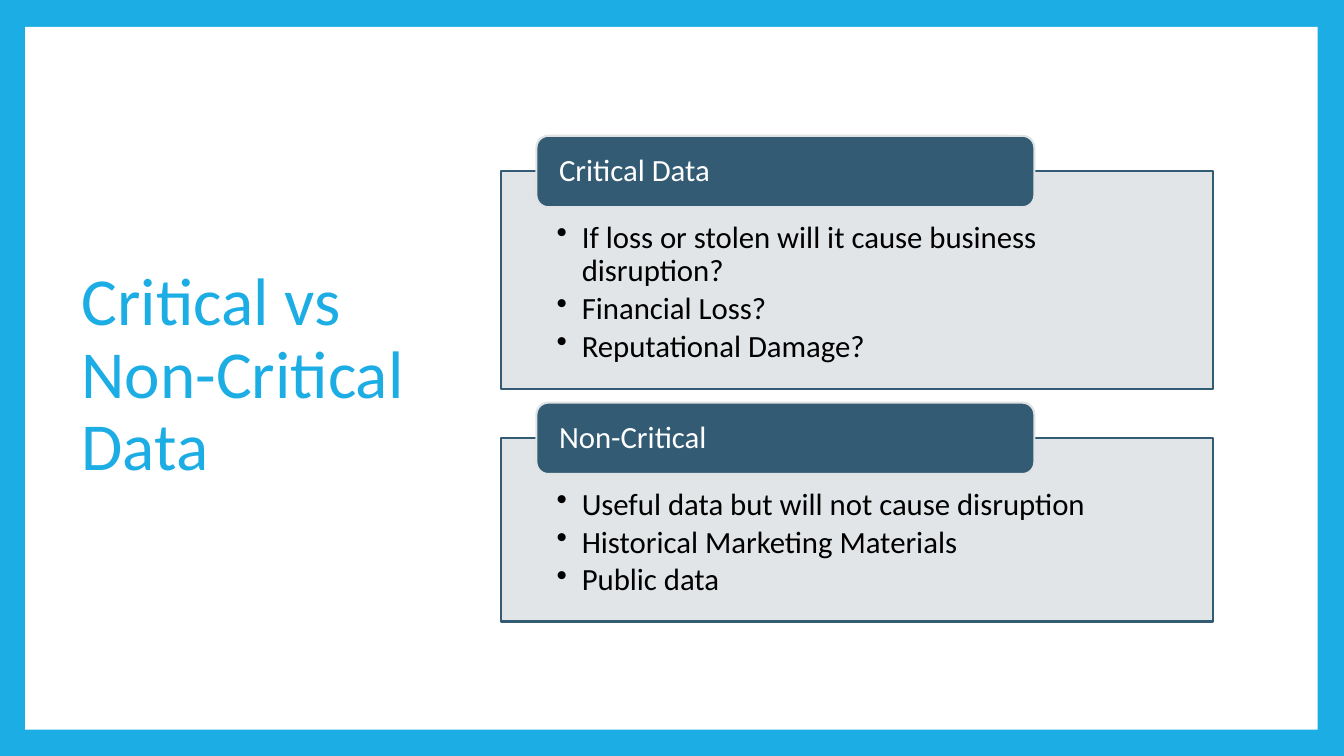
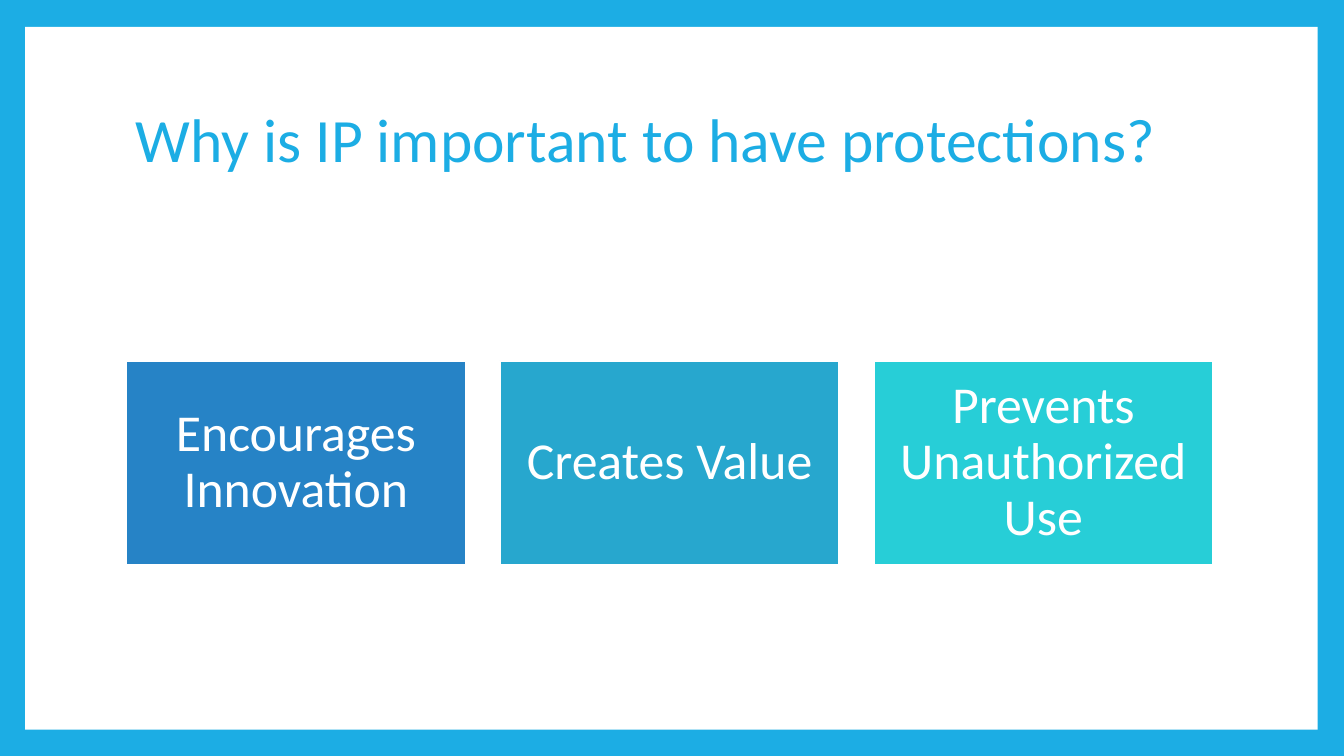
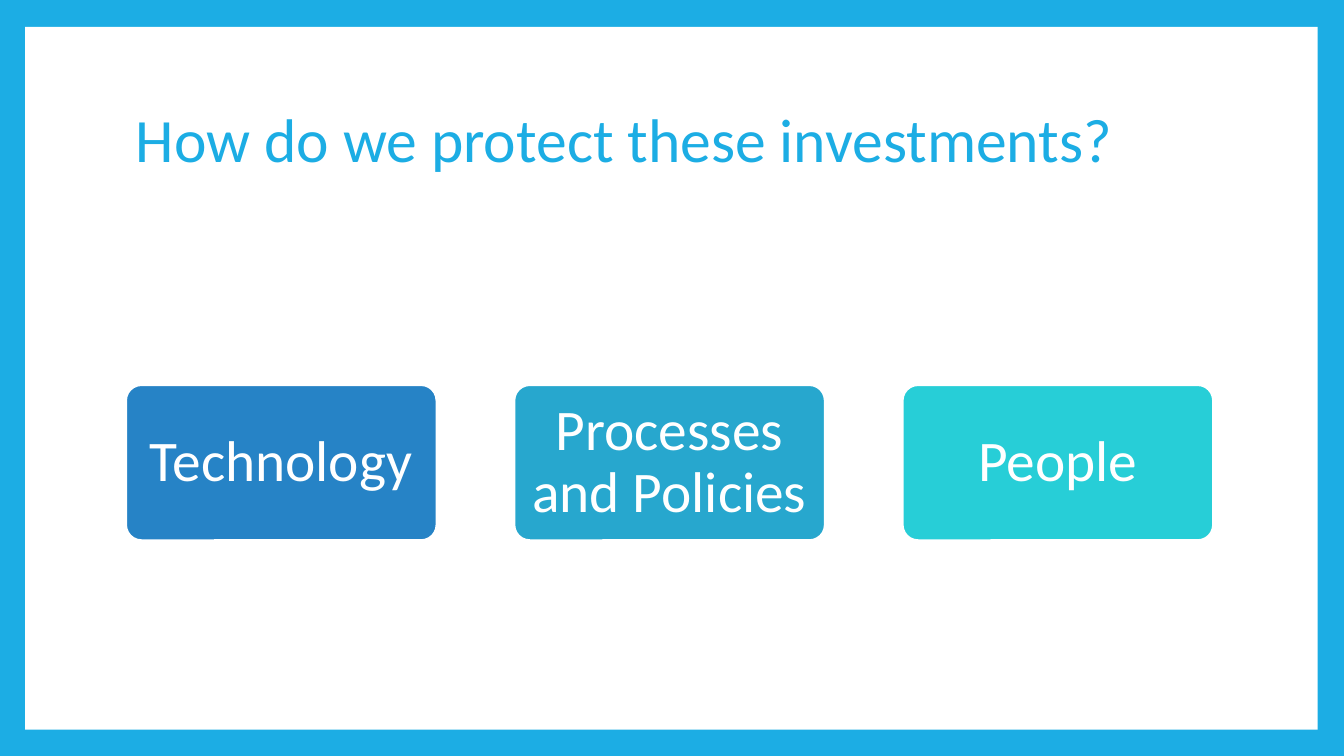
from dataclasses import dataclass

from lxml import etree
from pptx import Presentation
from pptx.dml.color import RGBColor
from pptx.enum.shapes import MSO_SHAPE
from pptx.enum.text import MSO_ANCHOR, PP_ALIGN
from pptx.oxml.ns import qn
from pptx.shapes.autoshape import Shape
from pptx.slide import Slide
from pptx.util import Pt

RECT, ROUND = MSO_SHAPE.RECTANGLE, MSO_SHAPE.ROUNDED_RECTANGLE
TOP, MIDDLE = MSO_ANCHOR.TOP, MSO_ANCHOR.MIDDLE
LEFT, CENTER = PP_ALIGN.LEFT, PP_ALIGN.CENTER

FONT = "Calibri"
SKY, WHITE, BLACK = "1CADE4", "FFFFFF", "000000"
NAVY, GREY = "335B74", "DFE3E5"
TINTS = ("2683C6", "27A7CE", "27CED7")
SPAN_LEFT, SPAN, CARD_MID = 90, 776.6, 330.5


@dataclass
class Box:
    left: float
    top: float
    width: float
    height: float

    def place(self) -> tuple:
        return Pt(self.left), Pt(self.top), Pt(self.width), Pt(self.height)


@dataclass
class Style:
    size: float
    color: str
    inset: tuple = (7.2, 3.6, 7.2, 3.6)
    anchor: int = MIDDLE
    align: int = LEFT
    after: float = 0
    bullet: bool = False


@dataclass
class Group:
    head: str
    items: tuple
    top: float
    height: float


@dataclass
class Deck:
    title: str
    cards: tuple
    kind: int
    gap: float    # share of the card width
    ratio: float  # height to width
    size: float
    inset: tuple


WIDE = Box(90, 48.24, 777.6, 106.56)
SIDE = Box(51.12, 48.24, 264.96, 441.36)

GROUPS = (
    Group("Critical Data",
          ("If loss or stolen will it cause business disruption?",
           "Financial Loss?", "Reputational Damage?"), 122.4, 155.5),
    Group("Non-Critical",
          ("Useful data but will not cause disruption",
           "Historical Marketing Materials", "Public data"), 313, 131),
)

DECKS = (
    Deck("Why is IP important to have protections?",
         ("Encourages Innovation", "Creates Value",
          "Prevents Unauthorized Use"),
         RECT, 0.1, 0.6, 37, (10.8, 10.8, 10.8, 10.8)),
    Deck("How do we protect these investments?",
         ("Technology", "Processes and Policies", "People"),
         ROUND, 0.25, 0.5, 41, (6.5, 4.3, 6.5, 4.3)),
)


def rgb(color: str) -> RGBColor:
    return RGBColor.from_string(color)


def write(shape: Shape, text: str, style: Style) -> None:
    frame = shape.text_frame
    frame.word_wrap = True
    frame.vertical_anchor = style.anchor
    (frame.margin_left, frame.margin_top,
     frame.margin_right, frame.margin_bottom) = map(Pt, style.inset)
    frame.text = text
    for para in frame.paragraphs:
        para.alignment = style.align
        para.line_spacing = 0.9
        para.space_after = Pt(style.after)
        if style.bullet:
            props = para._p.get_or_add_pPr()
            props.set("marL", str(Pt(18)))
            props.set("indent", str(Pt(-18)))
            etree.SubElement(props, qn("a:buChar")).set("char", "•")
        for run in para.runs:
            run.font.name = FONT
            run.font.size = Pt(style.size)
            run.font.color.rgb = rgb(style.color)


def draw(slide: Slide, kind: int, box: Box, fill: str,
         line: str = "") -> Shape:
    shape = slide.shapes.add_shape(kind, *box.place())
    shape.shadow.inherit = False
    shape.fill.solid()
    shape.fill.fore_color.rgb = rgb(fill)
    if line:
        shape.line.color.rgb = rgb(line)
        shape.line.width = Pt(1.5)
    else:
        shape.line.fill.background()
    return shape


def fade(shape: Shape, share: int) -> None:
    color = shape._element.spPr.find(qn("a:solidFill"))[0]
    etree.SubElement(color, qn("a:alpha")).set("val", str(share * 1000))


def start(prs: Presentation, title: str, box: Box, size: float) -> Slide:
    """Add a slide with the white panel and its title."""
    slide = prs.slides.add_slide(prs.slide_layouts[6])
    draw(slide, RECT, Box(18, 19.2, 923.2, 502), WHITE)
    write(slide.shapes.add_textbox(*box.place()), title, Style(size, SKY))
    return slide


def add_group(slide: Slide, group: Group) -> None:
    # Body with bullets
    body = draw(slide, RECT, Box(358, group.top, 508.3, group.height),
                GREY, NAVY)
    fade(body, 90)
    write(body, "\n".join(group.items),
          Style(22, BLACK, (39.6, 36, 39.6, 12.2), TOP,
                after=3.3, bullet=True))
    # Tab over the top edge
    tab = draw(slide, ROUND, Box(383.2, group.top - 25.4, 355.7, 51),
               NAVY, GREY)
    write(tab, group.head, Style(22, WHITE, (13.7, 0, 13.7, 0)))


def add_cards(slide: Slide, deck: Deck) -> None:
    count = len(deck.cards)
    width = SPAN / (count + (count - 1) * deck.gap)
    height = width * deck.ratio
    style = Style(deck.size, WHITE, deck.inset, align=CENTER)
    for i, (text, tint) in enumerate(zip(deck.cards, TINTS)):
        left = SPAN_LEFT + i * width * (1 + deck.gap)
        box = Box(left, CARD_MID - height / 2, width, height)
        card = draw(slide, deck.kind, box, tint, WHITE)
        if deck.kind == ROUND:
            card.adjustments[0] = 0.1
        write(card, text, style)


def main() -> None:
    prs = Presentation()
    prs.slide_width, prs.slide_height = Pt(960), Pt(540)

    # Shared background
    back = prs.slide_master.background.fill
    back.solid()
    back.fore_color.rgb = rgb(SKY)

    # Data groups
    slide = start(prs, "Critical vs Non-Critical Data", SIDE, 48)
    for group in GROUPS:
        add_group(slide, group)

    # Card slides
    for deck in DECKS:
        add_cards(start(prs, deck.title, WIDE, 44), deck)

    prs.save("out.pptx")


if __name__ == "__main__":
    main()
